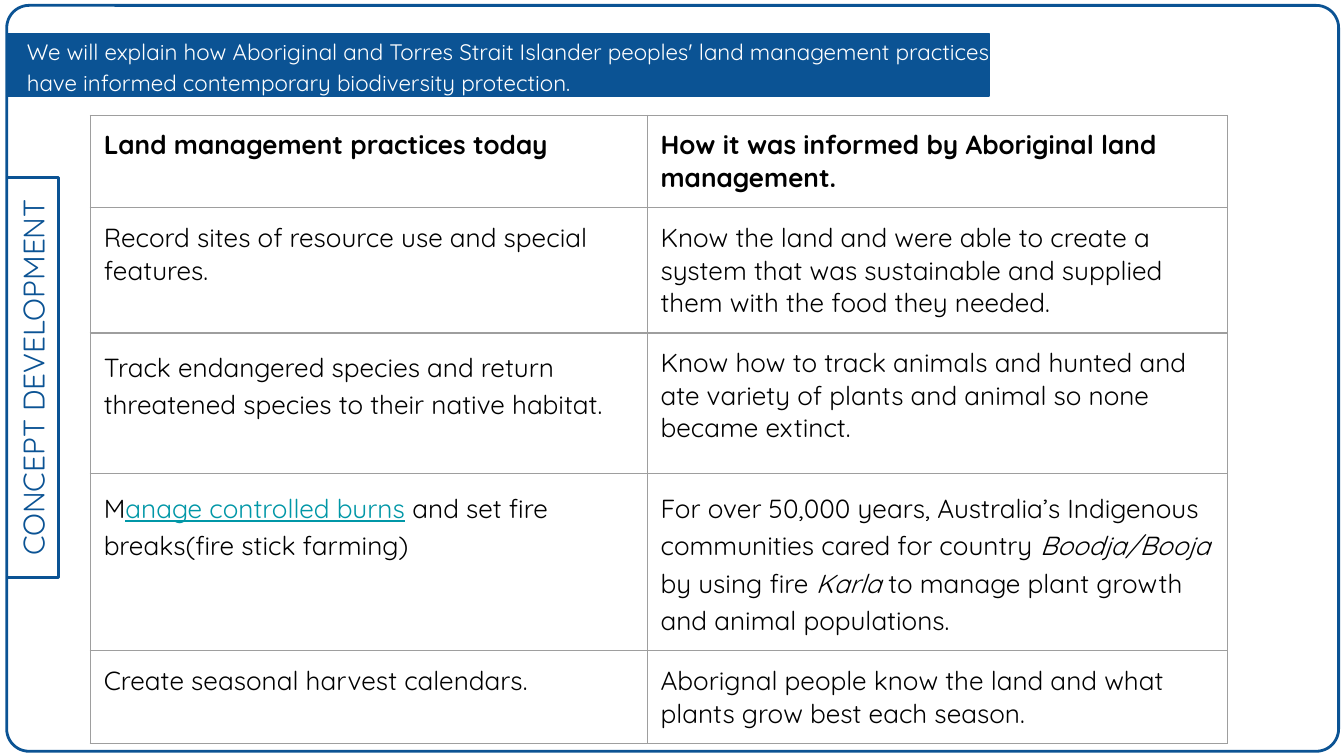
from dataclasses import dataclass

from lxml import etree
from pptx import Presentation
from pptx import util as u
from pptx.dml.color import RGBColor
from pptx.enum import shapes, text
from pptx.oxml import ns

Pt = u.Pt


@dataclass(frozen=True)
class Theme:
    font: str = "Quicksand"
    blue: str = "0B5394"
    white: str = "FFFFFF"
    black: str = "000000"
    teal: str = "0097A7"
    grey: str = "9E9E9E"
    goal: int = 12
    cell: int = 14
    tab: int = 16
    rule: float = 0.75
    edge: float = 1.5
    pad: float = 7.2
    loose: float = 1.15


T = Theme()


def rgb(code):
    return RGBColor.from_string(code)


def pad(frame, anchor):
    frame.word_wrap = True
    frame.auto_size = text.MSO_AUTO_SIZE.NONE
    frame.margin_left = frame.margin_right = Pt(T.pad)
    frame.margin_top = frame.margin_bottom = Pt(T.pad)
    frame.vertical_anchor = anchor


def write(para, words, size, color, bold=False, slant=False, under=False):
    run = para.add_run()
    run.text = words
    font = run.font
    font.name, font.size, font.color.rgb = T.font, Pt(size), rgb(color)
    font.bold, font.italic, font.underline = bold, slant, under


def panel(slide, kind, box, width, fill=None):
    shape = slide.shapes.add_shape(kind, *map(Pt, box))
    shape.shadow.inherit = False
    if fill:
        shape.fill.solid()
        shape.fill.fore_color.rgb = rgb(fill)
    else:
        shape.fill.background()
    shape.line.color.rgb = rgb(T.blue)
    shape.line.width = Pt(width)
    return shape


# Rounded frame around the whole slide
def frame(slide, box):
    edge = panel(slide, shapes.MSO_SHAPE.ROUNDED_RECTANGLE, box, T.edge)
    edge.adjustments[0] = 0.03


# Section tab, turned to read upwards inside its upright box
def tab(slide, box, words):
    x, y, w, h = box
    flat = (x + (w - h) / 2, y + (h - w) / 2, h, w)
    shape = panel(slide, shapes.MSO_SHAPE.RECTANGLE, flat, T.edge)
    shape.rotation = 270
    pad(shape.text_frame, text.MSO_ANCHOR.MIDDLE)
    para = shape.text_frame.paragraphs[0]
    para.alignment = text.PP_ALIGN.CENTER
    write(para, words, T.tab, T.blue)


# Blue band with the learning goal in the subtitle placeholder
def goal(slide, box, words):
    x, y, w, h = box
    panel(slide, shapes.MSO_SHAPE.RECTANGLE, box, T.rule, T.blue)
    title, sub = slide.placeholders[0], slide.placeholders[1]
    title.element.getparent().remove(title.element)
    sub.left, sub.top = Pt(x + 3.6), Pt(y - 3)
    sub.width, sub.height = Pt(w + 29.5), Pt(h + 6.5)
    slide.shapes._spTree.append(sub.element)  # bring above the band
    pad(sub.text_frame, text.MSO_ANCHOR.MIDDLE)
    para = sub.text_frame.paragraphs[0]
    para.alignment = text.PP_ALIGN.LEFT
    para.line_spacing, para.space_before = T.loose, Pt(0)
    write(para, words, T.goal, T.white)


def border(cell):
    props = cell._tc.get_or_add_tcPr()
    for place, side in enumerate(("lnL", "lnR", "lnT", "lnB")):
        line = etree.Element(ns.qn("a:" + side), w=str(Pt(T.rule)))
        fill = etree.SubElement(line, ns.qn("a:solidFill"))
        etree.SubElement(fill, ns.qn("a:srgbClr"), val=T.grey)
        props.insert(place, line)


# Table of practices; a cell is (line spacing, runs), a run (words, style)
def grid(slide, box, cols, rows, cells):
    shape = slide.shapes.add_table(len(rows), len(cols), *map(Pt, box))
    table = shape.table
    table.first_row = table.horz_banding = False
    for col, width in zip(table.columns, cols):
        col.width = Pt(width)
    for row, height, items in zip(table.rows, rows, cells):
        row.height = Pt(height)
        for cell, (space, runs) in zip(row.cells, items):
            cell.fill.background()
            border(cell)
            cell.margin_left = cell.margin_right = Pt(T.pad)
            cell.margin_top = cell.margin_bottom = Pt(T.pad)
            cell.vertical_anchor = text.MSO_ANCHOR.TOP
            para = cell.text_frame.paragraphs[0]
            para.line_spacing = space
            for words, style in runs:
                write(para, words, T.cell, **{"color": T.black, **style})


def tight(words, **style):
    return 1.0, [(words, style)]


def loose(*runs):
    return T.loose, runs


SLANT = {"slant": True}
LINK = {"color": T.teal, "under": True}
CELLS = [
    [tight("Land management practices today", bold=True),
     tight("How it was informed by Aboriginal land management.", bold=True)],
    [tight("Record sites of resource use and special features."),
     tight("Know the land and were able to create a system that was "
           "sustainable and supplied them with the food they needed.")],
    [loose(("Track endangered species and return threatened species to "
            "their native habitat.", {})),
     tight("Know how to track animals and hunted and ate variety of plants "
           "and animal so none became extinct.")],
    [loose(("M", {}), ("anage controlled burns", LINK),
           (" and set fire breaks(fire stick farming)", {})),
     loose(("For over 50,000 years, Australia’s Indigenous communities "
            "cared for country ", {}), ("Boodja/Booja ", SLANT),
           ("by using fire ", {}), ("Karla ", SLANT),
           ("to manage plant growth and animal populations.", {}))],
    [tight("Create seasonal harvest calendars."),
     tight("Aborignal people know the land and what plants grow best each "
           "season.")],
]


def main():
    deck = Presentation()
    deck.slide_width, deck.slide_height = Pt(720), Pt(405)
    slide = deck.slides.add_slide(deck.slide_layouts[0])
    frame(slide, (3.6, 2.9, 713.5, 399.6))
    tab(slide, (3.8, 95, 27.4, 214.6), "CONCEPT DEVELOPMENT")
    goal(slide, (3.6, 18, 526.3, 33.5),
         "We will explain how Aboriginal and Torres Strait Islander peoples' "
         "land management practices have informed contemporary biodiversity "
         "protection.")
    cols, rows = (298.3, 310.8), (49.6, 67, 75.4, 94.6, 49.2)
    grid(slide, (48.4, 61.8, sum(cols), sum(rows)), cols, rows, CELLS)
    deck.save("out.pptx")


if __name__ == "__main__":
    main()
